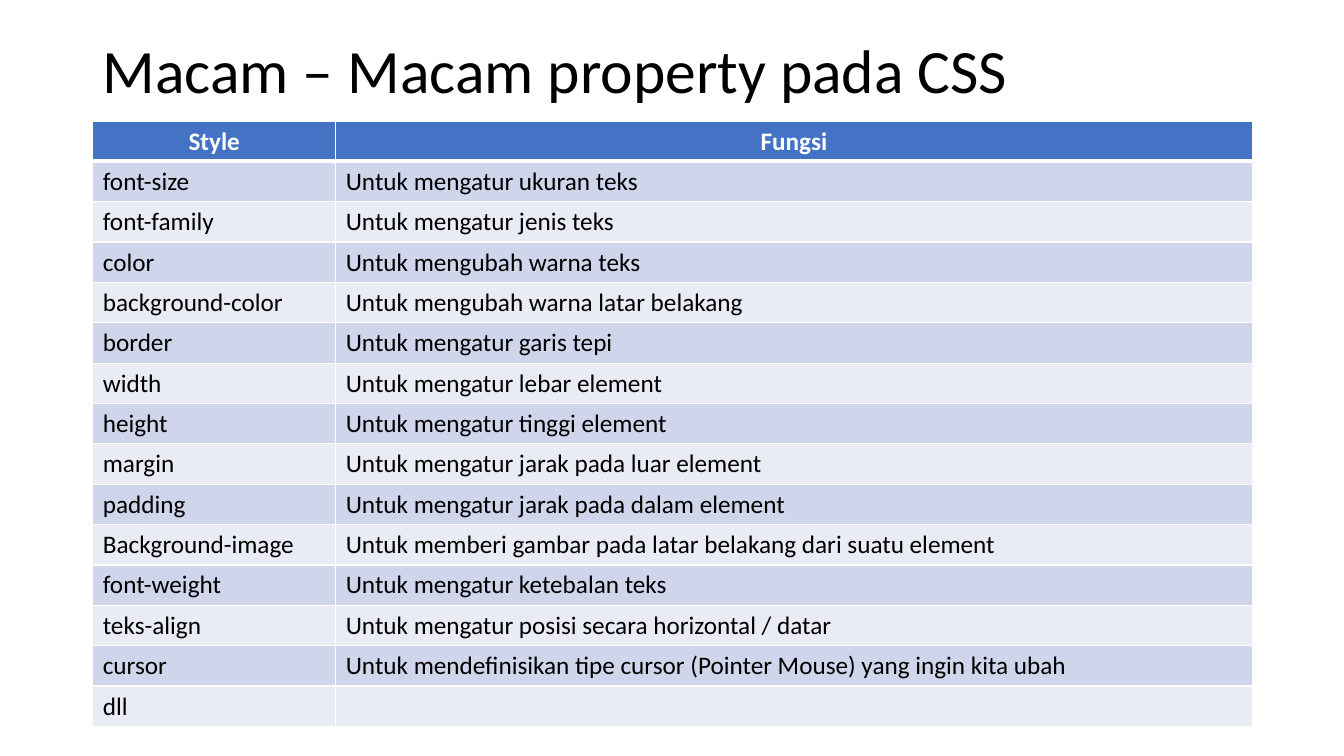
from lxml import etree
from pptx import Presentation
from pptx.dml.color import RGBColor
from pptx.enum import text
from pptx.oxml.ns import qn
from pptx.util import Inches, Pt

PROPERTIES = [
    ("Style", "Fungsi"),
    ("font-size", "Untuk mengatur ukuran teks"),
    ("font-family", "Untuk mengatur jenis teks"),
    ("color", "Untuk mengubah warna teks"),
    ("background-color", "Untuk mengubah warna latar belakang"),
    ("border", "Untuk mengatur garis tepi"),
    ("width", "Untuk mengatur lebar element"),
    ("height", "Untuk mengatur tinggi element"),
    ("margin", "Untuk mengatur jarak pada luar element"),
    ("padding", "Untuk mengatur jarak pada dalam element"),
    ("Background-image", "Untuk memberi gambar pada latar belakang dari suatu element"),
    ("font-weight", "Untuk mengatur ketebalan teks"),
    ("teks-align", "Untuk mengatur posisi secara horizontal / datar"),
    ("cursor", "Untuk mendefinisikan tipe cursor (Pointer Mouse) yang ingin kita ubah"),
    ("dll", ""),
]


def style_text(paragraph, size, color, bold=False):
    font = paragraph.font
    font.name = "Calibri"
    font.size = Pt(size)
    font.bold = bold
    font.color.rgb = RGBColor.from_string(color)


def add_border(cell, side, width):
    """Draw a white line on one side (lnL, lnR, lnT, lnB); call before filling the cell."""
    line = etree.SubElement(cell._tc.get_or_add_tcPr(), qn(f"a:{side}"), w=str(Pt(width)))
    fill = etree.SubElement(line, qn("a:solidFill"))
    etree.SubElement(fill, qn("a:srgbClr"), val="FFFFFF")


prs = Presentation()
prs.slide_width, prs.slide_height = Inches(13.33), Inches(7.5)
slide = prs.slides.add_slide(prs.slide_layouts[6])

title = slide.shapes.add_textbox(Inches(0.92), 0, Inches(11.5), Inches(1.45)).text_frame
title.word_wrap = True
title.vertical_anchor = text.MSO_ANCHOR.MIDDLE
title.text = "Macam – Macam property pada CSS"
title.paragraphs[0].line_spacing = 0.9
style_text(title.paragraphs[0], 44, "000000")

table = slide.shapes.add_table(
    len(PROPERTIES), 2, Inches(0.92), Inches(1.2), Inches(11.5), Inches(6)
).table
table.columns[0].width = Inches(2.41)
table.columns[1].width = Inches(9.09)

for r, entry in enumerate(PROPERTIES):
    header = r == 0
    table.rows[r].height = Inches(0.4)
    band = "4472C4" if header else "CFD5EA" if r % 2 else "E9EBF5"
    for c, words in enumerate(entry):
        cell = table.cell(r, c)
        for side in ("lnL", "lnR", "lnT", "lnB"):
            heavy = (header and side == "lnB") or (r == 1 and side == "lnT")
            add_border(cell, side, 3 if heavy else 1)
        cell.fill.solid()
        cell.fill.fore_color.rgb = RGBColor.from_string(band)
        cell.text = words
        paragraph = cell.text_frame.paragraphs[0]
        style_text(paragraph, 18, "FFFFFF" if header else "000000", header)
        if header:
            paragraph.alignment = text.PP_ALIGN.CENTER

prs.save("out.pptx")
